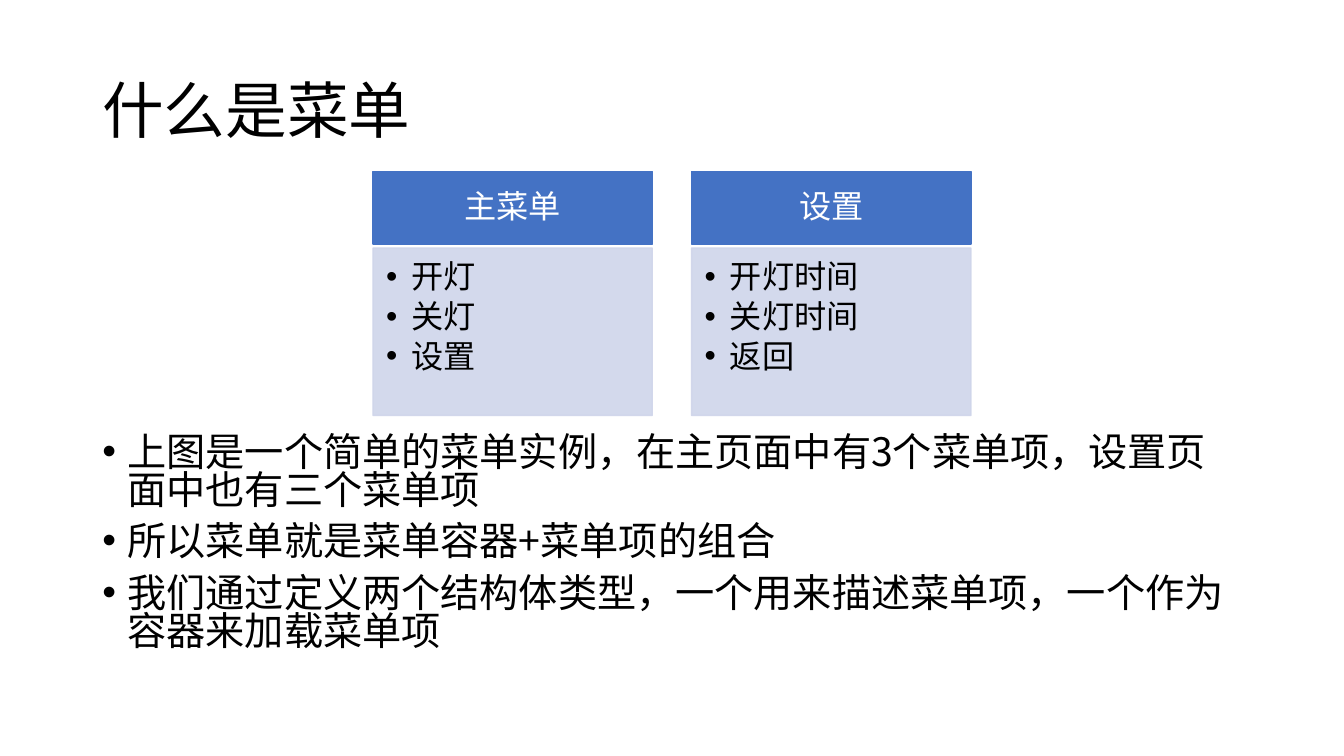
from pptx import Presentation
from pptx.dml.color import RGBColor
from pptx.enum.shapes import MSO_SHAPE
from pptx.enum.text import MSO_ANCHOR, PP_ALIGN
from pptx.oxml.ns import qn
from pptx.util import Cm, Pt
from lxml.etree import SubElement

BLUE, PALE, BLACK, WHITE = "4472C4", "CFD5EA", "000000", "FFFFFF"


def color(hex_code):
    return RGBColor.from_string(hex_code)


def write(frame, lines, font, size=28, ink=BLACK, align=PP_ALIGN.LEFT,
          anchor=MSO_ANCHOR.TOP, insets=(0.25, 0.13, 0.25, 0.13),
          spacing=0.9, before=0, after=0, bullet=False):
    """Fill a text frame, one paragraph for each line."""
    frame.word_wrap = True
    frame.vertical_anchor = anchor
    (frame.margin_left, frame.margin_top,
     frame.margin_right, frame.margin_bottom) = map(Cm, insets)
    for index, line in enumerate(lines):
        paragraph = frame.add_paragraph() if index else frame.paragraphs[0]
        paragraph.alignment = align
        paragraph.line_spacing = spacing
        paragraph.space_before, paragraph.space_after = Pt(before), Pt(after)
        if bullet:
            properties = paragraph._p.get_or_add_pPr()
            properties.set("marL", str(Cm(0.635)))
            properties.set("indent", str(Cm(-0.635)))
            SubElement(properties, qn("a:buFont")).set("typeface", "Arial")
            SubElement(properties, qn("a:buChar")).set("char", "•")
        run = paragraph.add_run()
        run.text = line
        run.font.size, run.font.name = Pt(size), font
        run.font.color.rgb = color(ink)
        SubElement(run._r.get_or_add_rPr(), qn("a:ea")).set("typeface", font)


class SlideBuilder:
    def __init__(self, slide, font):
        self.slide, self.font = slide, font

    def text(self, box, lines, **style):
        area = self.slide.shapes.add_textbox(*map(Cm, box))
        write(area.text_frame, lines, self.font, **style)

    def panel(self, box, fill, lines, opacity=100, **style):
        panel = self.slide.shapes.add_shape(MSO_SHAPE.RECTANGLE, *map(Cm, box))
        panel.shadow.inherit = False
        panel.line.width = Pt(1)
        for paint in (panel.fill, panel.line.fill):
            paint.solid()
            paint.fore_color.rgb = color(fill)
        if opacity < 100:
            for tint in panel._element.spPr.iter(qn("a:srgbClr")):
                SubElement(tint, qn("a:alpha")).set("val", str(opacity * 1000))
        write(panel.text_frame, lines, self.font, **style)


deck = Presentation()
deck.slide_width, deck.slide_height = Cm(33.87), Cm(19.05)
page = SlideBuilder(deck.slides.add_slide(deck.slide_layouts[6]),
                    "Noto Sans CJK SC")

# Title
page.text((2.33, 1.01, 29.21, 3.68), ["什么是菜单"], size=44,
          anchor=MSO_ANCHOR.MIDDLE)

# Explanation
page.text((2.33, 10.87, 29.21, 6.7), [
    "上图是一个简单的菜单实例，在主页面中有3个菜单项，设置页面中也有三个菜单项",
    "所以菜单就是菜单容器+菜单项的组合",
    "我们通过定义两个结构体类型，一个用来描述菜单项，一个作为容器来加载菜单项",
], spacing=0.8, before=10, bullet=True)

# Menus: a heading above its items
menus = {"主菜单": ["开灯", "关灯", "设置"],
         "设置": ["开灯时间", "关灯时间", "返回"]}
menu_left, menu_top, menu_width, menu_pitch = 9.4, 4.32, 7.04, 8.03
heading_height, items_top, items_height = 1.83, 6.25, 4.22
for column, (heading, items) in enumerate(menus.items()):
    left = menu_left + column * menu_pitch
    page.panel((left, menu_top, menu_width, heading_height), BLUE, [heading],
               size=23, ink=WHITE, align=PP_ALIGN.CENTER,
               anchor=MSO_ANCHOR.MIDDLE, insets=(0.46, 0.25, 0.46, 0.25))
    page.panel((left, items_top, menu_width, items_height), PALE, items,
               opacity=90, size=23, insets=(0.33, 0.33, 0.46, 0.5),
               after=3.45, bullet=True)

deck.save("out.pptx")
